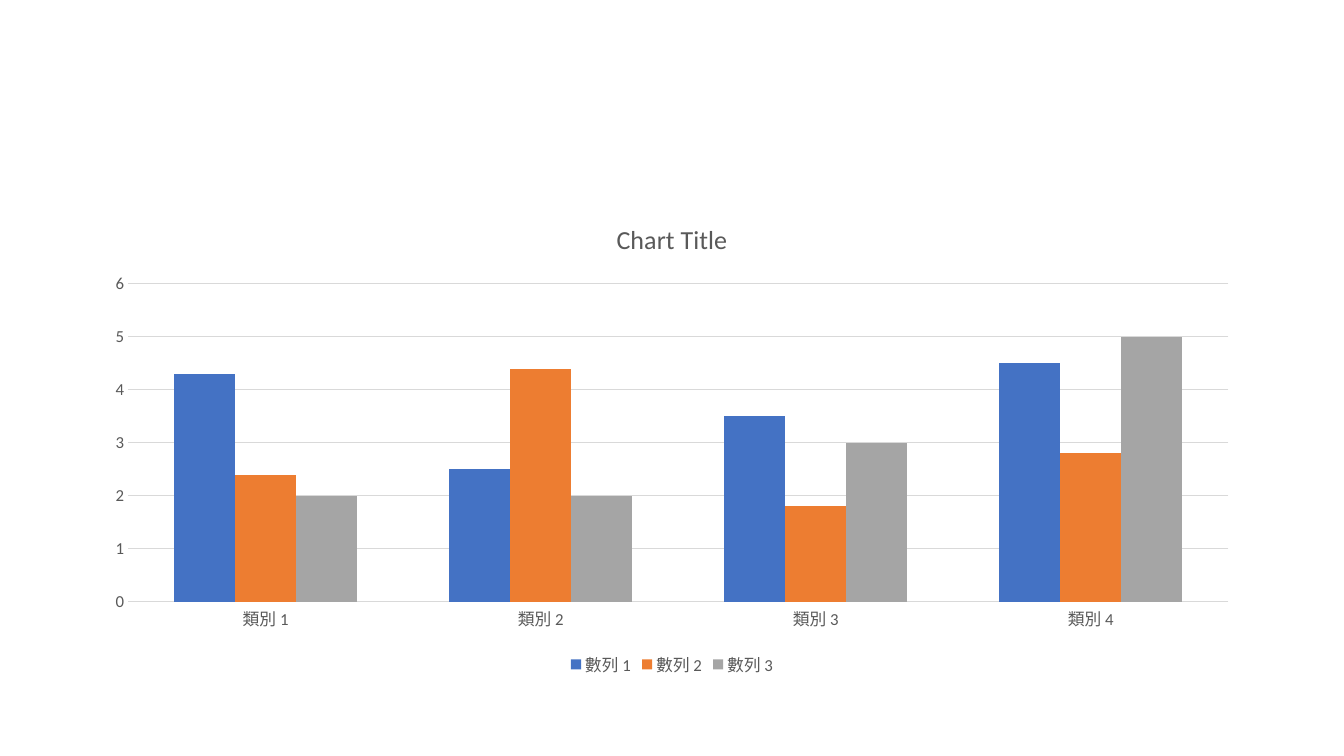
from pptx import Presentation
from pptx.chart.data import CategoryChartData
from pptx.dml.color import RGBColor
from pptx.enum.chart import XL_CHART_TYPE, XL_LEGEND_POSITION, XL_TICK_MARK
from pptx.util import Cm, Pt

FONT = "Calibri"
TEXT_GREY = RGBColor(0x59, 0x59, 0x59)
GRID_GREY = RGBColor(0xD9, 0xD9, 0xD9)
BLUE = RGBColor(0x44, 0x72, 0xC4)
ORANGE = RGBColor(0xED, 0x7D, 0x31)
GREY = RGBColor(0xA5, 0xA5, 0xA5)

CATEGORIES = ["類別 1", "類別 2", "類別 3", "類別 4"]
SERIES = [
    ("數列 1", (4.3, 2.5, 3.5, 4.5), BLUE),
    ("數列 2", (2.4, 4.4, 1.8, 2.8), ORANGE),
    ("數列 3", (2, 2, 3, 5), GREY),
]


def style_font(font, size):
    font.name = FONT
    font.size = Pt(size)
    font.bold = False
    font.color.rgb = TEXT_GREY


def add_column_chart(slide, left, top, width, height):
    data = CategoryChartData(number_format="General")
    data.categories = CATEGORIES
    for name, values, _ in SERIES:
        data.add_series(name, values)
    chart = slide.shapes.add_chart(
        XL_CHART_TYPE.COLUMN_CLUSTERED, left, top, width, height, data
    ).chart
    style_font(chart.font, 12)

    plot = chart.plots[0]
    plot.vary_by_categories = False
    plot.gap_width = 150
    plot.overlap = 0
    for series, (_, _, color) in zip(plot.series, SERIES):
        series.format.fill.solid()
        series.format.fill.fore_color.rgb = color
    return chart


def add_title(chart, text):
    chart.has_title = True
    chart.chart_title.include_in_layout = False
    p = chart.chart_title.text_frame.paragraphs[0]
    p.text = text
    style_font(p.font, 18.6)
    style_font(p.runs[0].font, 18.6)


def style_axes(chart):
    for axis in (chart.category_axis, chart.value_axis):
        axis.major_tick_mark = XL_TICK_MARK.NONE
        axis.minor_tick_mark = XL_TICK_MARK.NONE
        axis.format.line.fill.background()
        style_font(axis.tick_labels.font, 12)
    axis = chart.value_axis
    axis.minimum_scale = 0
    axis.maximum_scale = 6
    axis.major_unit = 1
    axis.has_major_gridlines = True
    line = axis.major_gridlines.format.line
    line.color.rgb = GRID_GREY
    line.width = Pt(0.75)


def add_legend(chart):
    chart.has_legend = True
    chart.legend.position = XL_LEGEND_POSITION.BOTTOM
    chart.legend.include_in_layout = False
    style_font(chart.legend.font, 12)


def main():
    prs = Presentation()
    prs.slide_width = Cm(33.87)
    prs.slide_height = Cm(19.05)
    slide = prs.slides.add_slide(prs.slide_layouts[6])

    chart = add_column_chart(slide, Cm(2.33), Cm(5.07), Cm(29.21), Cm(12.09))
    add_title(chart, "Chart Title")
    style_axes(chart)
    add_legend(chart)

    prs.save("out.pptx")


if __name__ == "__main__":
    main()
